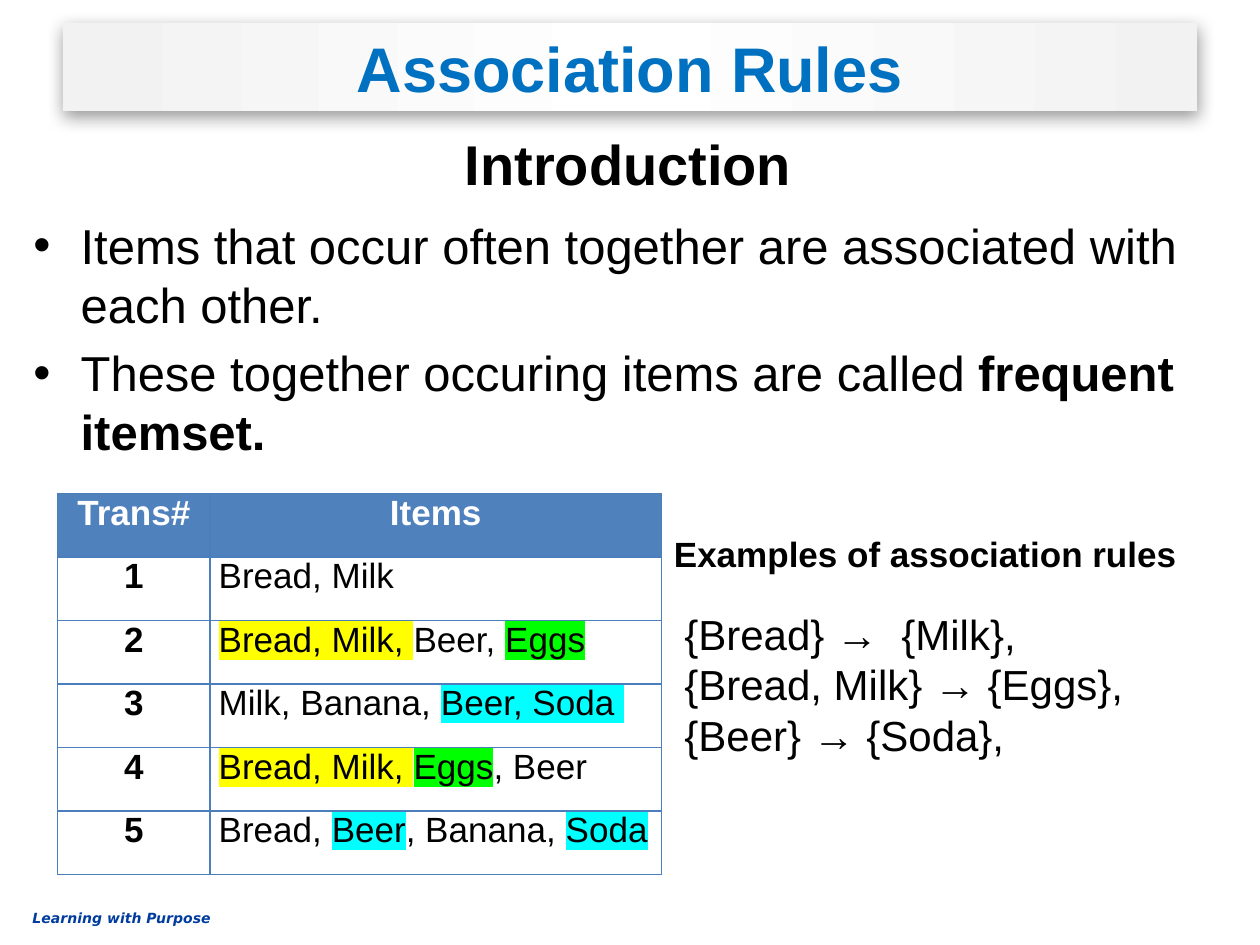
from lxml.etree import SubElement
from pptx import Presentation
from pptx.dml.color import RGBColor
from pptx.enum.text import MSO_ANCHOR, PP_ALIGN
from pptx.oxml import parse_xml
from pptx.oxml.ns import nsdecls, qn
from pptx.util import Pt

BLACK = RGBColor(0x00, 0x00, 0x00)
WHITE = RGBColor(0xFF, 0xFF, 0xFF)
TITLE_BLUE = RGBColor(0x00, 0x70, 0xC0)
FOOTER_BLUE = RGBColor(0x00, 0x3C, 0x9E)
HEADER_BLUE = RGBColor(0x4F, 0x81, 0xBD)
BORDER_BLUE = RGBColor(0x4B, 0x7E, 0xBC)
YELLOW = RGBColor(0xFF, 0xFF, 0x00)
GREEN = RGBColor(0x00, 0xFF, 0x00)
CYAN = RGBColor(0x00, 0xFF, 0xFF)

# Content: a paragraph is a list of (text, changed format values)
TITLE = [("Association Rules", {})]
SUBTITLE = [("Introduction", {})]
BULLETS = [
    [("Items that occur often together are associated with each other.", {})],
    [("These together occuring items are called ", {}),
     ("frequent itemset.", {"bold": True})],
]
RULES_HEADING = [("Examples of association rules", {})]
RULES = [
    [("{Bread} →  {Milk},", {})],
    [("{Bread, Milk} → {Eggs},", {})],
    [("{Beer} → {Soda},", {})],
]
FOOTER = [("Learning with Purpose", {})]
HEADERS = ["Trans#", "Items"]
TRANSACTIONS = [
    [("Bread, Milk", None)],
    [("Bread, Milk, ", YELLOW), ("Beer, ", None), ("Eggs", GREEN)],
    [("Milk, Banana, ", None), ("Beer, Soda ", CYAN)],
    [("Bread, Milk, ", YELLOW), ("Eggs", GREEN), (", Beer", None)],
    [("Bread, ", None), ("Beer", CYAN), (", Banana, ", None), ("Soda", CYAN)],
]

# Table measures
TABLE_LEFT, TABLE_TOP = 33, 282
COLUMN_WIDTHS = [87, 258]
ROW_HEIGHT = 36.3


def add_runs(paragraph, runs, size, color=BLACK, highlight=None, **changes):
    for text, run_changes in runs:
        run = paragraph.add_run()
        run.text = text
        values = {"name": "Arial", "size": Pt(size), "bold": False, **changes, **run_changes}
        marker = values.pop("highlight", highlight)
        for name, value in values.items():
            setattr(run.font, name, value)
        run.font.color.rgb = color
        if marker is not None:
            run.font.fill._xPr.find(qn("a:solidFill")).addnext(parse_xml(
                f'<a:highlight {nsdecls("a")}><a:srgbClr val="{marker}"/></a:highlight>'))


def fill_text(shape, paragraphs, size, align=PP_ALIGN.LEFT, anchor=MSO_ANCHOR.TOP,
              space_before=0, **font):
    frame = shape.text_frame
    frame.word_wrap = True
    frame.vertical_anchor = anchor
    for index, runs in enumerate(paragraphs):
        paragraph = frame.paragraphs[0] if index == 0 else frame.add_paragraph()
        paragraph.alignment = align
        paragraph.space_before = Pt(space_before)
        add_runs(paragraph, runs, size, **font)


def add_text(slide, box, paragraphs, size, **options):
    shape = slide.shapes.add_textbox(*map(Pt, box))
    fill_text(shape, paragraphs, size, **options)
    return shape


def add_bullet(paragraph, indent):
    properties = paragraph._p.get_or_add_pPr()
    properties.set("marL", str(Pt(indent)))
    properties.set("indent", str(-Pt(indent)))
    SubElement(properties, qn("a:buFont"), typeface="Arial")
    SubElement(properties, qn("a:buChar"), char="•")


def format_cell(cell, runs, fill, align, **font):
    margins = {"margin_left": 5, "margin_right": 5, "margin_top": 0, "margin_bottom": 0}
    for name, value in margins.items():
        setattr(cell, name, Pt(value))
    properties = cell._tc.get_or_add_tcPr()
    for side in ("lnL", "lnR", "lnT", "lnB"):
        properties.append(parse_xml(
            f'<a:{side} {nsdecls("a")} w="{Pt(0.75)}"><a:solidFill>'
            f'<a:srgbClr val="{BORDER_BLUE}"/></a:solidFill></a:{side}>'))
    cell.fill.solid()
    cell.fill.fore_color.rgb = fill
    paragraph = cell.text_frame.paragraphs[0]
    paragraph.alignment = align
    add_runs(paragraph, runs, 20, **font)


def style_banner(shape):
    properties = shape._element.spPr
    stops = "".join(f'<a:gs pos="{position * 1000}"><a:srgbClr val="{color}"/></a:gs>'
                    for position, color in [(2, "F2F2F2"), (50, "FFFFFF"), (100, "F2F2F2")])
    properties.append(parse_xml(
        f'<a:gradFill {nsdecls("a")} rotWithShape="1"><a:gsLst>{stops}</a:gsLst>'
        '<a:lin ang="0" scaled="0"/></a:gradFill>'))
    properties.append(parse_xml(
        f'<a:effectLst {nsdecls("a")}><a:outerShdw blurRad="{Pt(10)}" dist="{Pt(3)}" '
        'dir="5400000" algn="t" rotWithShape="0"><a:srgbClr val="000000">'
        '<a:alpha val="40000"/></a:srgbClr></a:outerShdw></a:effectLst>'))


def main():
    presentation = Presentation()
    presentation.slide_width, presentation.slide_height = Pt(720), Pt(540)
    slide = presentation.slides.add_slide(presentation.slide_layouts[5])

    # Footer
    add_text(slide, (11.5, 516, 266, 17), [FOOTER], 8, color=FOOTER_BLUE,
             name="DejaVu Sans", bold=True, italic=True)

    # Bulleted text
    body = add_text(slide, (12, 119.5, 708, 150), BULLETS, 28, space_before=5.6)
    for paragraph in body.text_frame.paragraphs:
        add_bullet(paragraph, 27)

    # Title banner and subtitle
    title = slide.shapes.title
    title.left, title.top, title.width, title.height = map(Pt, (36, 13, 648, 50.5))
    style_banner(title)
    centred = {"align": PP_ALIGN.CENTER, "anchor": MSO_ANCHOR.MIDDLE, "bold": True}
    fill_text(title, [TITLE], 36, color=TITLE_BLUE, **centred)
    add_text(slide, (35, 72, 648, 42), [SUBTITLE], 32, **centred)

    # Association rules
    add_text(slide, (378, 301, 322, 32), [RULES_HEADING], 20, bold=True)
    add_text(slide, (384, 344, 336, 95), RULES, 24)

    # Transaction table
    row_count = len(TRANSACTIONS) + 1
    table = slide.shapes.add_table(
        row_count, len(HEADERS), Pt(TABLE_LEFT), Pt(TABLE_TOP),
        Pt(sum(COLUMN_WIDTHS)), Pt(ROW_HEIGHT * row_count)).table
    for column, width in zip(table.columns, COLUMN_WIDTHS):
        column.width = Pt(width)
    for row in table.rows:
        row.height = Pt(ROW_HEIGHT)
    for index, header in enumerate(HEADERS):
        format_cell(table.cell(0, index), [(header, {})], HEADER_BLUE,
                    PP_ALIGN.CENTER, color=WHITE, bold=True)
    for number, items in enumerate(TRANSACTIONS, start=1):
        format_cell(table.cell(number, 0), [(str(number), {})], WHITE,
                    PP_ALIGN.CENTER, bold=True)
        runs = [(text, {"highlight": marker}) for text, marker in items]
        format_cell(table.cell(number, 1), runs, WHITE, PP_ALIGN.LEFT)

    presentation.save("out.pptx")


if __name__ == "__main__":
    main()
